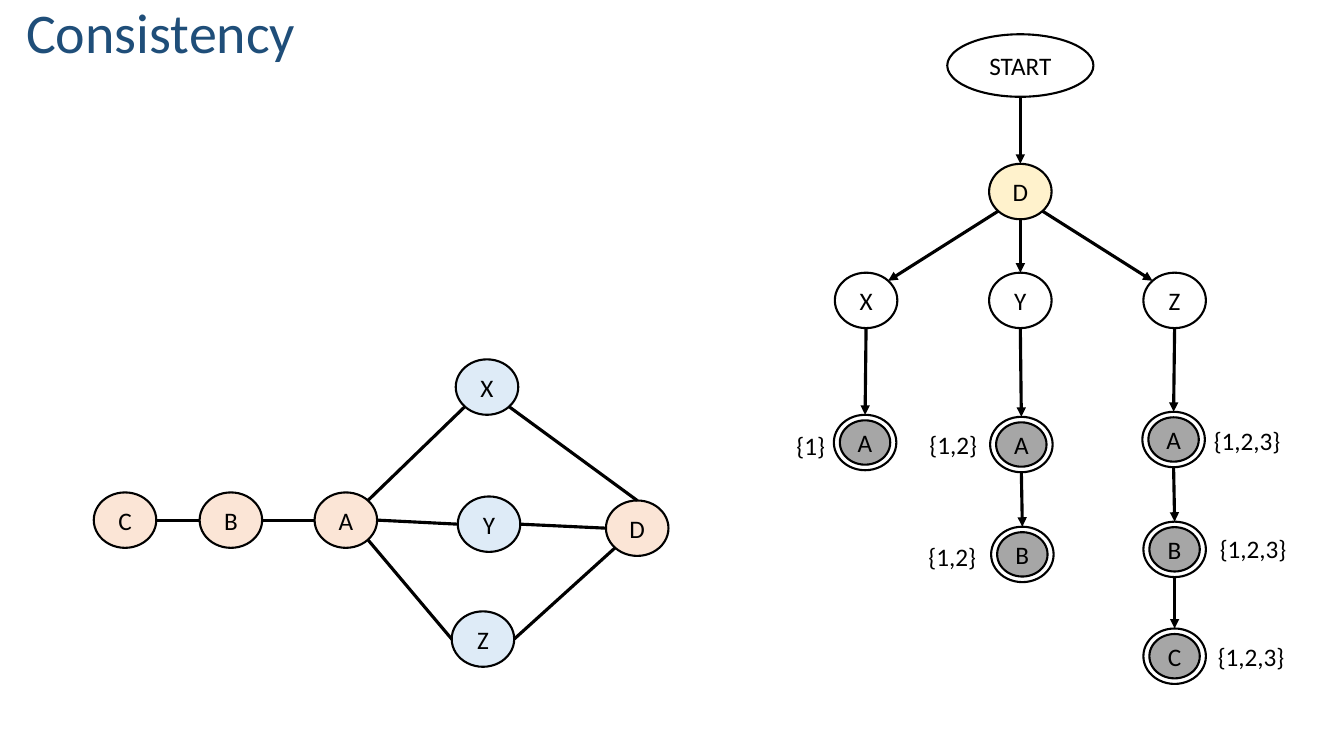
import pptx
import pptx.util
import pptx.oxml.ns
from lxml import etree
from pptx.dml.color import RGBColor
from pptx.enum.shapes import MSO_CONNECTOR, MSO_SHAPE
from pptx.enum.text import MSO_ANCHOR, MSO_AUTO_SIZE, PP_ALIGN
from pptx.util import Inches, Pt

BLACK = RGBColor(0x00, 0x00, 0x00)
WHITE = RGBColor(0xFF, 0xFF, 0xFF)
NAVY = RGBColor(0x1F, 0x4E, 0x79)
YELLOW = RGBColor(0xFF, 0xF2, 0xCC)
PEACH = RGBColor(0xFB, 0xE5, 0xD6)
SKY = RGBColor(0xDE, 0xEB, 0xF7)
GREY = RGBColor(0xA6, 0xA6, 0xA6)

NODE_W, NODE_H = 0.62, 0.55
START_W, START_H = 1.45, 0.62
INNER_W, INNER_H = 0.5, 0.44
LABEL_H = 0.4
DIAGONAL = 0.5 ** 0.5

# key: (text, centre x, centre y, fill)
GRAPH_NODES = {
    "C": ("C", 1.24, 5.16, PEACH),
    "B": ("B", 2.29, 5.16, PEACH),
    "A": ("A", 3.43, 5.16, PEACH),
    "X": ("X", 4.83, 3.84, SKY),
    "Y": ("Y", 4.85, 5.2, SKY),
    "Z": ("Z", 4.79, 6.34, SKY),
    "D": ("D", 6.32, 5.24, PEACH),
}
TREE_NODES = {
    "root": ("D", 10.12, 1.9, YELLOW),
    "root X": ("X", 8.59, 2.98, WHITE),
    "root Y": ("Y", 10.12, 2.98, WHITE),
    "root Z": ("Z", 11.65, 2.98, WHITE),
}
# Accepting states: key: (text, centre x, centre y)
FINAL_NODES = {
    "X A": ("A", 8.58, 4.39),
    "Y A": ("A", 10.13, 4.41),
    "Y B": ("B", 10.14, 5.5),
    "Z A": ("A", 11.64, 4.36),
    "Z B": ("B", 11.65, 5.45),
    "Z C": ("C", 11.65, 6.51),
}
# text, left, top, width
RANK_LABELS = [
    ("{1}", 7.8, 4.22, 0.49),
    ("{1,2}", 9.12, 4.21, 0.68),
    ("{1,2}", 9.11, 5.32, 0.68),
    ("{1,2,3}", 11.94, 4.17, 0.87),
    ("{1,2,3}", 12, 5.24, 0.87),
    ("{1,2,3}", 11.98, 6.31, 0.87),
]
# Where a line meets an ellipse, as fractions of its half width and half height
SITES = {
    "top": (0, -1), "bottom": (0, 1), "left": (-1, 0), "right": (1, 0),
    "top right": (DIAGONAL, -DIAGONAL), "top left": (-DIAGONAL, -DIAGONAL),
    "bottom right": (DIAGONAL, DIAGONAL), "bottom left": (-DIAGONAL, DIAGONAL),
}
# from, site, to, site
GRAPH_EDGES = [
    ("C", "right", "B", "left"),
    ("B", "right", "A", "left"),
    ("A", "top right", "X", "bottom left"),
    ("A", "right", "Y", "left"),
    ("A", "bottom right", "Z", "left"),
    ("X", "bottom right", "D", "top"),
    ("Y", "right", "D", "left"),
    ("Z", "right", "D", "bottom left"),
]
TREE_EDGES = [
    ("start", "bottom", "root", "top"),
    ("root", "bottom left", "root X", "top right"),
    ("root", "bottom", "root Y", "top"),
    ("root", "bottom right", "root Z", "top left"),
    ("root X", "bottom", "X A", "top"),
    ("root Y", "bottom", "Y A", "top"),
    ("root Z", "bottom", "Z A", "top"),
    ("Y A", "bottom", "Y B", "top"),
    ("Z A", "bottom", "Z B", "top"),
    ("Z B", "bottom", "Z C", "top"),
]


def set_text(sp, text, align):
    tf = sp.text_frame
    tf.word_wrap = False
    tf.vertical_anchor = MSO_ANCHOR.MIDDLE
    p = tf.paragraphs[0]
    p.text = text
    p.alignment = align
    p.font.name = "Calibri"
    p.font.size = Pt(18)
    p.font.color.rgb = BLACK


def add_ellipse(slide, x, y, fill, w=NODE_W, h=NODE_H, text=None):
    """Draw an outlined ellipse centred on (x, y)."""
    sp = slide.shapes.add_shape(MSO_SHAPE.OVAL, Inches(x - w / 2), Inches(y - h / 2),
                                Inches(w), Inches(h))
    sp.shadow.inherit = False
    sp.fill.solid()
    sp.fill.fore_color.rgb = fill
    sp.line.color.rgb = BLACK
    sp.line.width = Pt(1.5)
    if text:
        set_text(sp, text, PP_ALIGN.CENTER)
    return sp


def site_point(sp, site):
    dx, dy = SITES[site]
    return (round(sp.left + sp.width * (1 + dx) / 2),
            round(sp.top + sp.height * (1 + dy) / 2))


def add_edge(slide, start, end, arrow):
    line = slide.shapes.add_connector(MSO_CONNECTOR.STRAIGHT, *start, *end)
    line.line.color.rgb = BLACK
    line.line.width = Pt(2.25)
    if arrow:
        etree.SubElement(line.line._get_or_add_ln(), pptx.oxml.ns.qn("a:tailEnd"),
                         type="triangle")
    etree.SubElement(line._element.spPr, pptx.oxml.ns.qn("a:effectLst"))


def add_title(slide, text):
    title = slide.shapes.title
    title.left, title.top = Inches(0.16), Inches(-0.23)
    title.width, title.height = Inches(8.9), Inches(0.93)
    tf = title.text_frame
    tf.auto_size = MSO_AUTO_SIZE.NONE
    tf.vertical_anchor = MSO_ANCHOR.BOTTOM
    p = tf.paragraphs[0]
    p.text = text
    p.alignment = PP_ALIGN.LEFT
    p.line_spacing = 0.9
    p.font.name = "Calibri"
    p.font.size = Pt(40)
    p.font.color.rgb = NAVY


def main():
    prs = pptx.Presentation()
    prs.slide_width, prs.slide_height = Inches(13.33), Inches(7.5)
    slide = prs.slides.add_slide(prs.slide_layouts[5])
    add_title(slide, "Consistency")

    nodes = {"start": add_ellipse(slide, 10.12, 0.65, WHITE, START_W, START_H, "START")}
    for key, (text, x, y, fill) in (GRAPH_NODES | TREE_NODES).items():
        nodes[key] = add_ellipse(slide, x, y, fill, text=text)
    for key, (text, x, y) in FINAL_NODES.items():
        nodes[key] = add_ellipse(slide, x, y, WHITE)
        add_ellipse(slide, x, y, GREY, INNER_W, INNER_H, text)

    for edges, arrow in ((GRAPH_EDGES, False), (TREE_EDGES, True)):
        for a, a_site, b, b_site in edges:
            add_edge(slide, site_point(nodes[a], a_site), site_point(nodes[b], b_site), arrow)

    for text, left, top, width in RANK_LABELS:
        box = slide.shapes.add_textbox(Inches(left), Inches(top), Inches(width), Inches(LABEL_H))
        set_text(box, text, PP_ALIGN.LEFT)

    prs.save("out.pptx")


if __name__ == "__main__":
    main()
